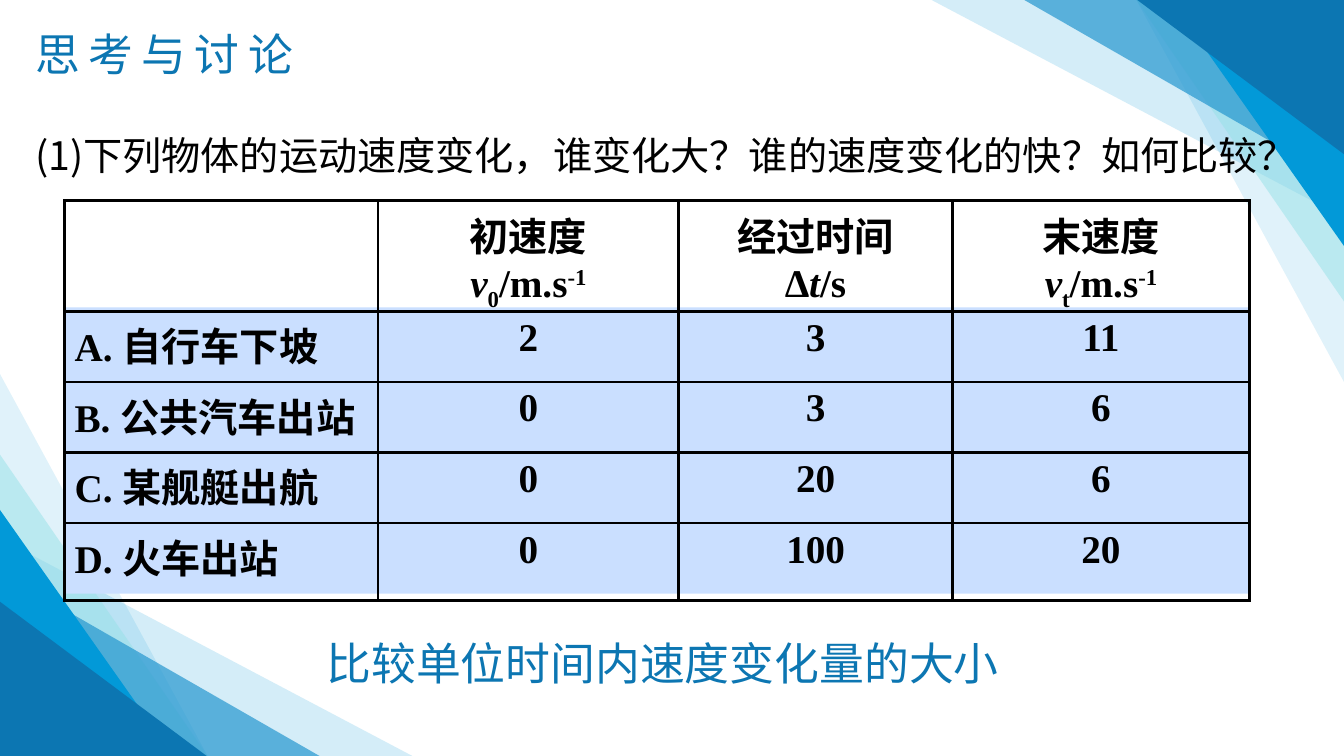
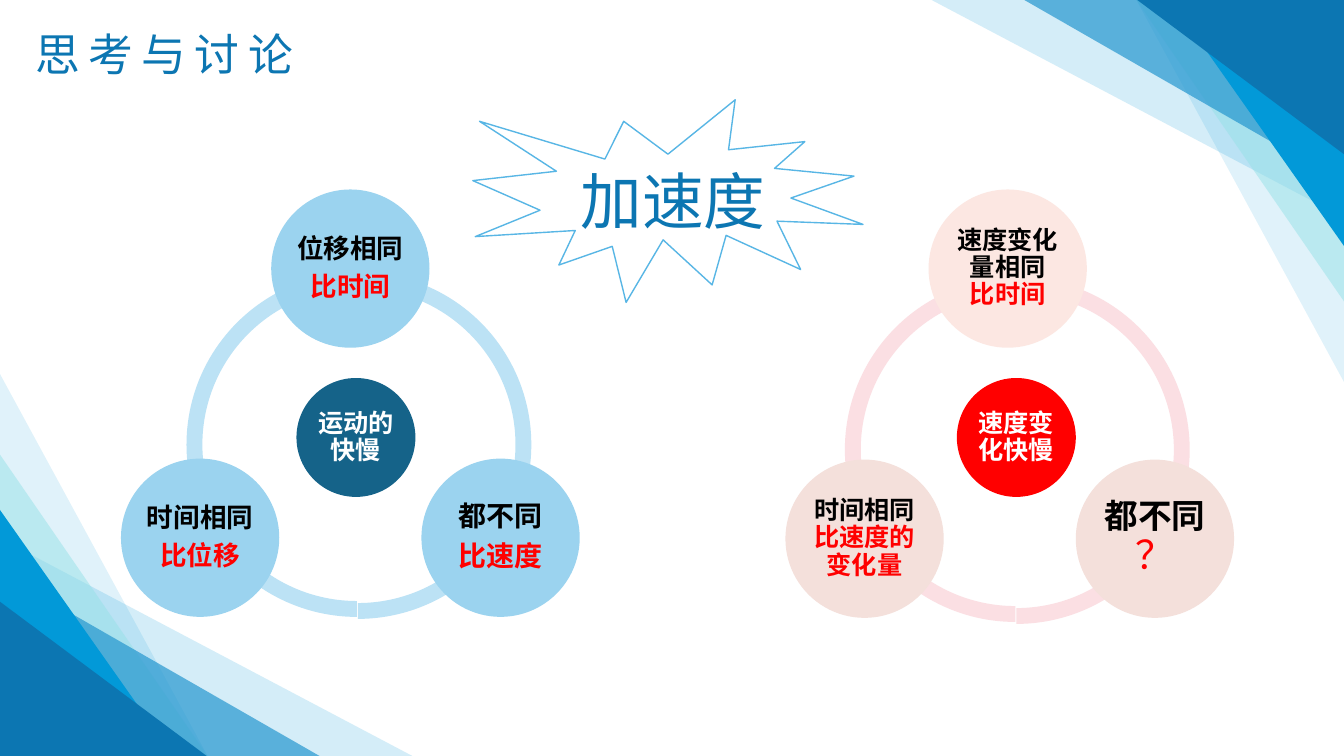
from lxml import etree
from pptx import Presentation
from pptx.dml.color import RGBColor
from pptx.enum.shapes import MSO_SHAPE as Form
from pptx.enum.text import MSO_ANCHOR as Anchor, PP_ALIGN as Align
from pptx.oxml.ns import qn
from pptx.util import Inches, Pt

WIDE, HIGH = 13.33, 7.5
SANS, SERIF, PLAIN = "Noto Sans CJK SC", "Times New Roman", "Calibri"
BLACK = RGBColor(0x00, 0x00, 0x00)
WHITE = RGBColor(0xFF, 0xFF, 0xFF)
RED = RGBColor(0xFF, 0x00, 0x00)
BLUE = RGBColor(0x0C, 0x76, 0xB2)
AZURE = RGBColor(0x02, 0x99, 0xD8)
MINT = RGBColor(0x95, 0xE1, 0xE7)
STEEL = RGBColor(0x20, 0x94, 0xCE)
BAND = RGBColor(0xCA, 0xDF, 0xFF)
EDGE = RGBColor(0x58, 0xB6, 0xE5)
NAVY = RGBColor(0x15, 0x63, 0x89)
SKY = RGBColor(0x9B, 0xD3, 0xEF)
PALE = RGBColor(0xBC, 0xE2, 0xF5)
PINK = RGBColor(0xFB, 0xDF, 0xE3)
BLUSH = RGBColor(0xFC, 0xE7, 0xE2)
SAND = RGBColor(0xF4, 0xE0, 0xDB)

WEDGES = [
    (2.06, 3.79, AZURE, 12),
    (4.09, 2.16, AZURE, 17),
    (2.06, 2.99, MINT, 50),
    (3.17, 1.82, STEEL, 68),
    (1.72, 2.44, AZURE, 100),
    (2.05, 1.53, BLUE, 100),
]
COLS = [3.11, 2.98, 2.72, 2.94]
ROWS = [1.04, 0.7, 0.7, 0.7, 0.77]
HEADS = [
    ("初速度", [("v", True, 0), ("0", False, -25), ("/m.s", False, 0), ("-1", False, 30)]),
    ("经过时间", [("∆t", True, 0), ("/s", False, 0)]),
    ("末速度", [("v", True, 0), ("t", False, -25), ("/m.s", False, 0), ("-1", False, 30)]),
]
DATA = [
    ("A. 自行车下坡", "2", "3", "11"),
    ("B. 公共汽车出站", "0", "3", "6"),
    ("C. 某舰艇出航", "0", "20", "6"),
    ("D. 火车出站", "0", "100", "20"),
]


def style(run, size, color, face=SANS, bold=False):
    font = run.font
    font.size, font.name, font.bold = Pt(size), face, bold
    font.color.rgb = color
    latin = font._element.find(qn("a:latin"))
    east = etree.Element(qn("a:ea"), typeface=SANS)
    latin.addnext(east)


def write(para, text, size, color, face=SANS, bold=False, align=Align.CENTER):
    para.text = text
    para.alignment = align
    style(para.runs[0], size, color, face, bold)
    return para


def add_form(shapes, kind, at, color, alpha=100):
    shape = shapes.add_shape(kind, *map(Inches, at))
    shape.shadow.inherit = False
    shape.fill.solid()
    shape.fill.fore_color.rgb = color
    shape.line.fill.background()
    if alpha < 100:
        tint = shape.element.spPr.find(".//" + qn("a:srgbClr"))
        etree.SubElement(tint, qn("a:alpha"), val=str(alpha * 1000))
    return shape


def add_text(shapes, at, text, size, color, align=Align.CENTER):
    frame = shapes.add_textbox(*map(Inches, at)).text_frame
    frame.word_wrap = True
    return write(frame.paragraphs[0], text, size, color, align=align)


def add_title(slide):
    para = add_text(slide.shapes, (0.25, 0.22, 4.36, 0.64), "思考与讨论", 32, BLUE, Align.LEFT)
    para.runs[0].font._element.set("spc", "600")


def add_wedges(slide, layout):
    for turn in (0, 180):
        for wide, high, color, alpha in WEDGES:
            left, top = (WIDE - wide, 0) if turn else (0, HIGH - high)
            wedge = add_form(slide.shapes, Form.RIGHT_TRIANGLE, (left, top, wide, high), color, alpha)
            wedge.rotation = turn
            layout.shapes.element.append(wedge.element)


def frame_cell(cell):
    props = cell._tc.get_or_add_tcPr()
    for side in ("lnL", "lnR", "lnT", "lnB"):
        line = etree.SubElement(props, qn("a:" + side), w=str(Pt(2.25)))
        fill = etree.SubElement(line, qn("a:solidFill"))
        etree.SubElement(fill, qn("a:srgbClr"), val=str(BLACK))
    cell.fill.background()


def fill_head(cell, name, parts):
    cell.vertical_anchor = Anchor.MIDDLE
    frame = cell.text_frame
    write(frame.paragraphs[0], name, 28, BLACK, SERIF, True)
    para = frame.add_paragraph()
    para.alignment = Align.CENTER
    for text, slant, base in parts:
        run = para.add_run()
        run.text = text
        style(run, 28, BLACK, SERIF, True)
        run.font.italic = slant
        if base:
            run.font._element.set("baseline", str(base * 1000))


def add_grid(shapes):
    box = map(Inches, (0.64, 1.99, sum(COLS), sum(ROWS)))
    table = shapes.add_table(len(ROWS), len(COLS), *box).table
    table.first_row = table.horz_banding = False
    for col, wide in zip(table.columns, COLS):
        col.width = Inches(wide)
    for row, high in zip(table.rows, ROWS):
        row.height = Inches(high)
    for cell in table.iter_cells():
        frame_cell(cell)
    for col, (name, parts) in enumerate(HEADS, 1):
        fill_head(table.cell(0, col), name, parts)
    for row, values in enumerate(DATA, 1):
        for col, text in enumerate(values):
            align = Align.CENTER if col else Align.LEFT
            para = table.cell(row, col).text_frame.paragraphs[0]
            write(para, text, 28, BLACK, SERIF, True, align)


def add_ring(shapes, left, top, color):
    arcs = [(90, 162, 0, 0), (18, 90, 0.01, 0.02), (162, 18, 0.02, 0)]
    for start, end, right, down in arcs:
        arc = add_form(shapes, Form.BLOCK_ARC, (left + right, top + down, 3.42, 3.42), color)
        for index, value in enumerate((start * 0.6, end * 0.6, 0.046)):
            arc.adjustments[index] = value


def add_disc(shapes, left, top, size, color, lines, gap=0.35):
    disc = add_form(shapes, Form.OVAL, (left, top, size, size), color)
    frame = disc.text_frame
    frame.word_wrap = True
    frame.vertical_anchor = Anchor.MIDDLE
    frame.margin_left = frame.margin_right = Inches(0.02)
    frame.margin_top = frame.margin_bottom = Inches(0.02)
    for index, (text, points, ink, face, bold) in enumerate(lines):
        para = frame.add_paragraph() if index else frame.paragraphs[0]
        write(para, text, points, ink, face, bold)
        para.line_spacing = 0.9
        para.space_after = Pt(round(points * gap, 1))


def add_hub(shapes, left, color, text):
    add_disc(shapes, left, 3.75, 1.18, color, [(text, 18, WHITE, SANS, True)])


def add_node(shapes, left, top, color, name, rule, size, gap=0.35):
    lines = [(name, size, BLACK, SANS, True), (rule, size, RED, SANS, True)]
    if rule == "？":
        lines[1] = (rule, 28, RED, PLAIN, False)
    add_disc(shapes, left, top, 1.57, color, lines, gap)


def add_burst(shapes):
    group = shapes.add_group_shape().shapes
    burst = add_form(group, Form.EXPLOSION1, (4.69, 0.99, 3.87, 2.01), WHITE)
    burst.line.color.rgb = EDGE
    burst.line.width = Pt(1)
    add_text(group, (5.55, 1.57, 2.25, 0.84), "加速度", 44, BLUE)


def fill_quiz(slide):
    shapes = slide.shapes
    for top in (4.48, 3.75, 3.05):
        add_form(shapes, Form.RECTANGLE, (0.64, top, 11.75, 1.41), BAND)
    add_title(slide)
    add_grid(shapes)
    ask = "(1)下列物体的运动速度变化，谁变化大？谁的速度变化的快？如何比较？"
    add_text(shapes, (0.25, 1.25, 12.57, 0.74), ask, 28, BLACK, Align.LEFT)
    add_text(shapes, (3.11, 6.26, 6.93, 0.62), "比较单位时间内速度变化量的大小", 32, BLUE)


def fill_rings(slide):
    shapes = slide.shapes
    add_burst(shapes)
    add_ring(shapes, 1.83, 2.7, PALE)
    add_hub(shapes, 2.94, NAVY, "运动的快慢")
    add_node(shapes, 2.69, 1.88, SKY, "位移相同", "比时间", 19)
    add_node(shapes, 4.18, 4.55, SKY, "都不同", "比速度", 20)
    add_node(shapes, 1.2, 4.55, SKY, "时间相同", "比位移", 19)
    add_ring(shapes, 8.36, 2.75, PINK)
    add_hub(shapes, 9.49, RED, "速度变化快慢")
    add_node(shapes, 9.21, 1.88, BLUSH, "速度变化量相同", "比时间", 18, 0)
    add_node(shapes, 10.67, 4.56, SAND, "都不同", "？", 24, 0)
    add_node(shapes, 7.79, 4.56, SAND, "时间相同", "比速度的变化量", 18, 0)
    add_title(slide)


def main():
    deck = Presentation()
    deck.slide_width, deck.slide_height = Inches(WIDE), Inches(HIGH)
    blank = deck.slide_layouts[6]
    quiz, rings = [deck.slides.add_slide(blank) for _ in range(2)]
    add_wedges(quiz, blank)
    fill_quiz(quiz)
    fill_rings(rings)
    deck.save("out.pptx")


if __name__ == "__main__":
    main()
